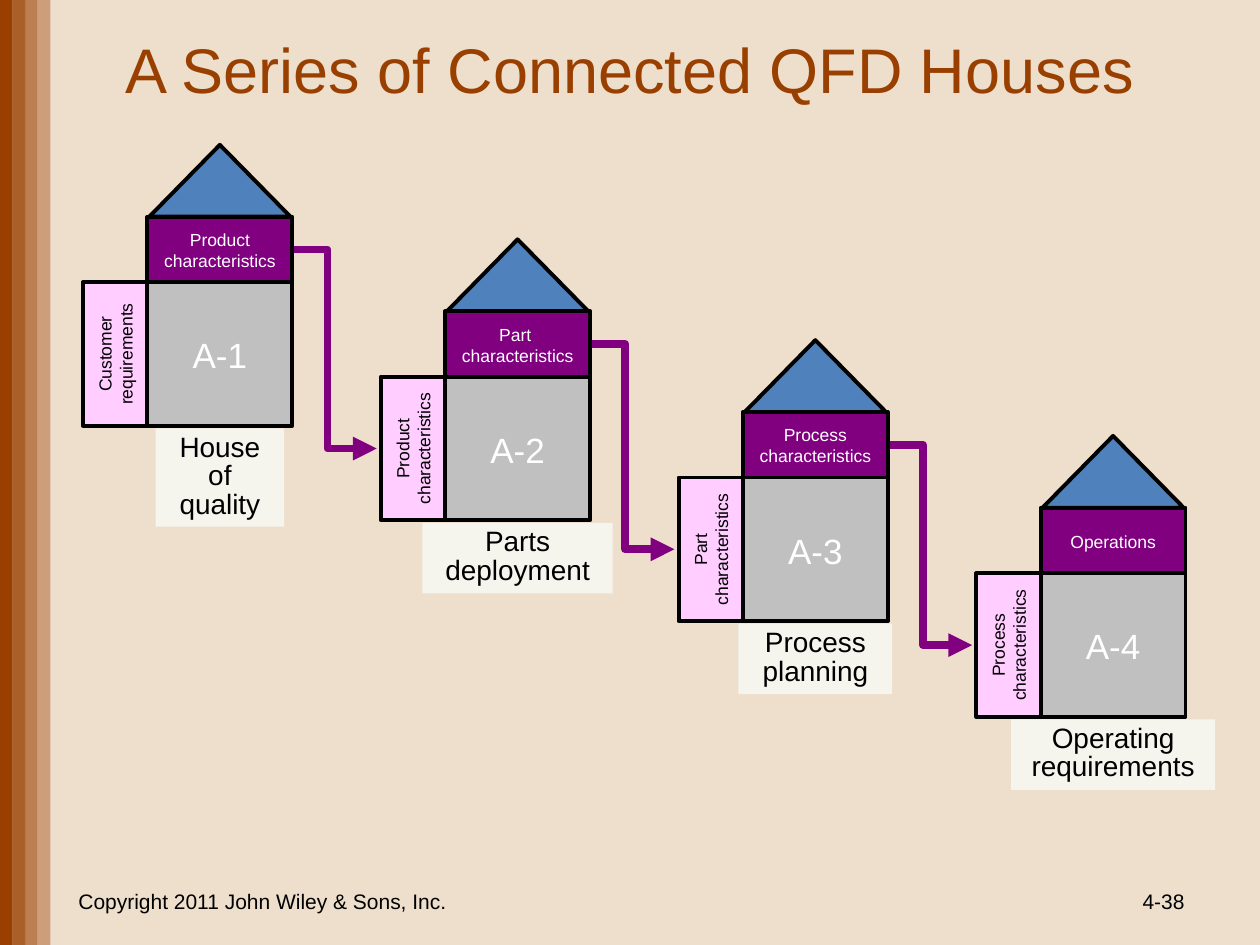
from lxml import etree
from pptx import Presentation
from pptx.dml.color import RGBColor
from pptx.enum.shapes import MSO_SHAPE
from pptx.enum.text import MSO_ANCHOR, MSO_AUTO_SIZE, PP_ALIGN
from pptx.oxml.ns import qn
from pptx.util import Inches, Pt

RECTANGLE, TRIANGLE = MSO_SHAPE.RECTANGLE, MSO_SHAPE.ISOSCELES_TRIANGLE
CENTER, RIGHT = PP_ALIGN.CENTER, PP_ALIGN.RIGHT
TOP, MIDDLE = MSO_ANCHOR.TOP, MSO_ANCHOR.MIDDLE
NO_FIT = MSO_AUTO_SIZE.NONE
hex_color = RGBColor.from_string

BROWN, PURPLE, BLACK, WHITE = "994000", "800080", "000000", "FFFFFF"

prs = Presentation()
prs.slide_width, prs.slide_height = Inches(10), Inches(7.5)
COL, ROW = prs.slide_width / 100, prs.slide_height / 75  # grid of 100 x 75

slide = prs.slides.add_slide(prs.slide_layouts[5])
slide.background.fill.solid()
slide.background.fill.fore_color.rgb = hex_color("EEDFCC")


def add_box(left, top, width, height, kind=None, fill=None, outlined=False):
    """Place a shape, or a text box when no kind is given, on the grid."""
    place = [round(n) for n in (left * COL, top * ROW, width * COL, height * ROW)]
    if kind is None:
        return slide.shapes.add_textbox(*place)
    shape = slide.shapes.add_shape(kind, *place)
    shape.shadow.inherit = False
    shape.fill.solid()
    shape.fill.fore_color.rgb = hex_color(fill)
    if outlined:
        shape.line.color.rgb = hex_color(BLACK)
        shape.line.width = Pt(2.25)
    else:
        shape.line.fill.background()
    return shape


def write(shape, text, size, color=BLACK, align=CENTER, anchor=TOP, spacing=None, wrap=True):
    frame = shape.text_frame
    frame.text = text
    frame.auto_size = NO_FIT
    frame.word_wrap = wrap
    frame.vertical_anchor = anchor
    paragraph = frame.paragraphs[0]
    paragraph.alignment = align
    paragraph.line_spacing = spacing
    paragraph.font.size = Pt(size)
    paragraph.font.name = "Arial"
    paragraph.font.color.rgb = hex_color(color)


# Left edge: four stripes, each fainter than the one before
for i in range(4):
    stripe = add_box(i, 0, 1, 75, RECTANGLE, BROWN)
    tint = stripe.fill._xPr.find(qn("a:solidFill"))[0]
    etree.SubElement(tint, qn("a:alpha"), val=str(100000 - 20000 * i))

# Title and footer
title = slide.shapes.title
title.left, title.top = round(7.5 * COL), round(0.4 * ROW)
title.width, title.height = round(85 * COL), round(10 * ROW)
write(title, "A Series of Connected QFD Houses", 36, BROWN, anchor=MIDDLE)
write(add_box(5, 69.5, 31.7, 4), "Copyright 2011 John Wiley & Sons, Inc.", 12, anchor=MIDDLE)
write(add_box(71.7, 69.5, 23.3, 4), "4-38", 12, align=RIGHT, anchor=MIDDLE)

# Houses: top of the body, inputs at the side, outputs under the roof,
# caption with its width and height
houses = [
    (22.4, "Customer requirements", "Product characteristics", "House of quality", 10.2, 7.8),
    (29.9, "Product characteristics", "Part \vcharacteristics", "Parts deployment", 15.1, 5.6),
    (37.9, "Part characteristics", "Process characteristics", "Process planning", 12.2, 5.6),
    (45.5, "Process characteristics", "Operations", "Operating requirements", 16.2, 5.6),
]
FIRST_LEFT, STEP = 11.7, 23.63
BODY_W, BODY_H, HEADER_H, SIDE_W, ROOF_W, ROOF_H = 11.5, 11.4, 5.2, 5.1, 11.2, 5.7

# Arrows from each header to the side of the next house
for i, (house, following) in enumerate(zip(houses, houses[1:])):
    start = FIRST_LEFT + STEP * i + 10.8
    header_mid, side_mid = house[0] - HEADER_H / 2, following[0] + BODY_H / 2
    route = [(start, header_mid), (start + 3.5, header_mid),
             (start + 3.5, side_mid), (start + 7.4, side_mid)]
    points = [(round(x * COL), round(y * ROW)) for x, y in route]
    builder = slide.shapes.build_freeform(*points[0])
    builder.add_line_segments(points[1:], close=False)
    arrow = builder.convert_to_shape()
    arrow.shadow.inherit = False
    arrow.fill.background()
    arrow.line.color.rgb = hex_color(PURPLE)
    arrow.line.width = Pt(4.5)
    line = arrow.line._get_or_add_ln()
    etree.SubElement(line, qn("a:round"))
    etree.SubElement(line, qn("a:tailEnd"), type="triangle")

for i, (top, inputs, outputs, caption, caption_w, caption_h) in enumerate(houses):
    left = FIRST_LEFT + STEP * i
    middle = left + BODY_W / 2
    header_top = top - HEADER_H

    # Side with its upright label
    add_box(left - SIDE_W, top, SIDE_W, BODY_H, RECTANGLE, "FFCDFF", True)
    label_w, label_h = 12.4, 4.3
    side_label = add_box(left - SIDE_W / 2 - label_w / 2, top + BODY_H / 2 - label_h / 2,
                         label_w, label_h)
    side_label.rotation = 270
    write(side_label, inputs, 10, anchor=MIDDLE)

    # Roof and caption
    add_box(middle - ROOF_W / 2, header_top - ROOF_H, ROOF_W, ROOF_H, TRIANGLE, "4F81BD", True)
    caption_box = add_box(middle - caption_w / 2, top + 11.6, caption_w, caption_h,
                          RECTANGLE, "F5F4ED")
    write(caption_box, caption, 16, spacing=0.85)

    # Header and body
    add_box(left, header_top, BODY_W, HEADER_H, RECTANGLE, PURPLE, True)
    write(add_box(middle - 7.1, header_top + 0.5, 14.2, 4.3), outputs, 10, WHITE, anchor=MIDDLE)
    add_box(left, top, BODY_W, BODY_H, RECTANGLE, "C0C0C0", True)
    write(add_box(middle - 3.25, top + 3.6, 6.5, 4.3), f"A-{i + 1}", 20, WHITE, wrap=False)

prs.save("out.pptx")
